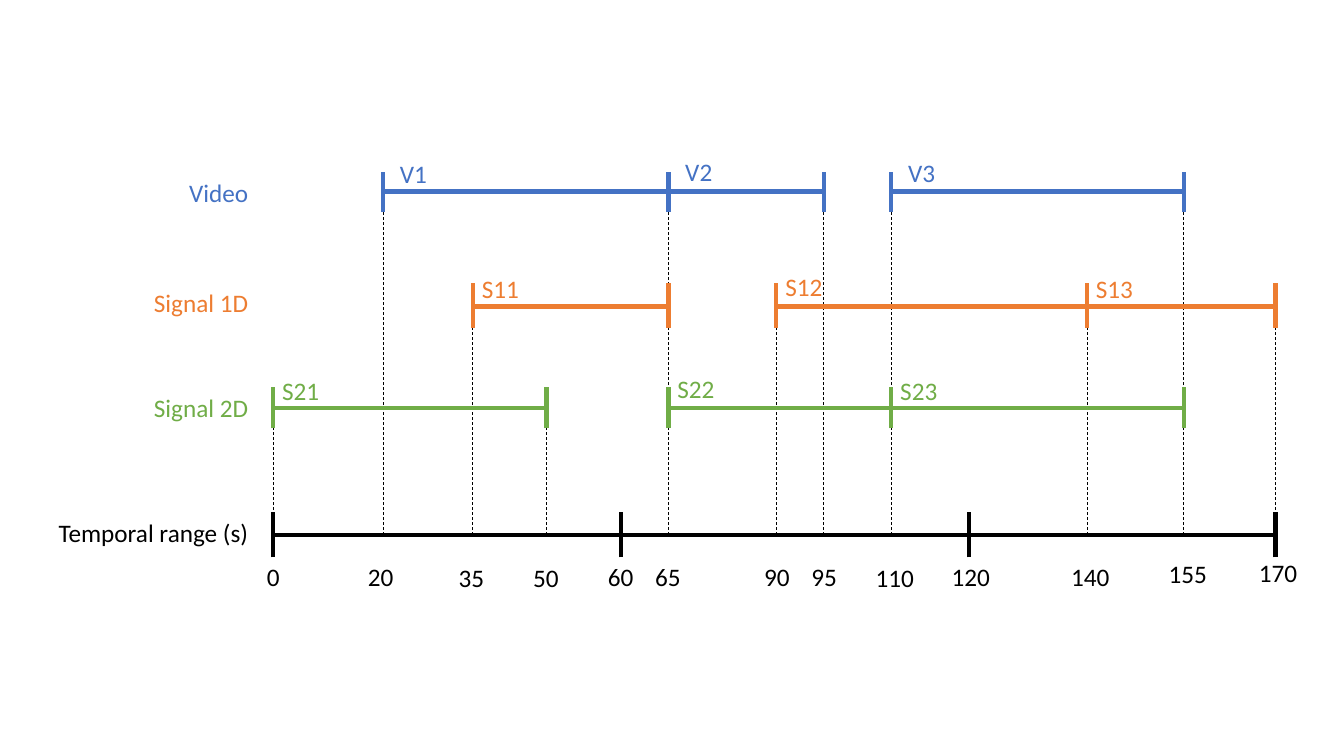
from dataclasses import dataclass

from lxml.etree import SubElement
from pptx import Presentation
from pptx.dml.color import RGBColor
from pptx.enum.dml import MSO_LINE
from pptx.enum.shapes import MSO_CONNECTOR
from pptx.enum.text import MSO_AUTO_SIZE, PP_ALIGN
from pptx.oxml.ns import qn
from pptx.util import Inches, Pt

WIDTH, HEIGHT = Inches(13.33), Inches(7.5)
COLUMNS, ROWS = 133.3, 75
TEXT_ROWS = 4
LABEL_RIGHT = 25.6
COLORS = {"axis": "000000", "video": "4472C4", "signal_1d": "ED7D31", "signal_2d": "70AD47"}


@dataclass
class Track:
    title: str
    color: str
    row: float
    tick_top: float
    tick_bottom: float
    title_top: float
    title_width: float
    runs: list
    clips: tuple = ()
    clip_width: float = 0
    clip_align: PP_ALIGN = PP_ALIGN.LEFT


TRACKS = [
    Track("Video", "video", 19, 17.1, 21, 17.1, 21.1, [(20, 65, 95), (110, 155)],
          (("V1", 15.2), ("V2", 15), ("V3", 15.1)), 6.2, PP_ALIGN.CENTER),
    Track("Signal 1D", "signal_1d", 30.4, 28.1, 32.5, 28, 21.1, [(35, 65), (90, 140, 170)],
          (("S11", 26.6), ("S12", 26.4), ("S13", 26.6)), 7.8),
    Track("Signal 2D", "signal_2d", 40.5, 38.4, 42.5, 38.4, 21.1, [(0, 50), (65, 110, 155)],
          (("S21", 36.7), ("S22", 36.5), ("S23", 36.7)), 8.2),
]
AXIS = Track("Temporal range (s)", "axis", 53.1, 50.8, 55.3, 50.8, 25.4, [(0, 60, 120, 170)])

TIME_COLUMNS = {0: 27.1, 20: 38, 35: 46.9, 50: 54.2, 60: 61.6, 65: 66.3, 90: 77,
                95: 81.7, 110: 88.4, 120: 96.1, 140: 107.8, 155: 117.4, 170: 126.5}
NUMBER_PLACES = {0: (27.1, 55.2), 20: (37.75, 55.2), 35: (46.75, 55.3), 50: (54.15, 55.3),
                 60: (61.55, 55.2), 65: (66.25, 55.2), 90: (77.05, 55.2), 95: (81.75, 55.2),
                 110: (88.75, 55.3), 120: (96.3, 55.2), 140: (108.15, 55.2),
                 155: (117.8, 54.9), 170: (126.75, 54.8)}
NUMBER_WIDTHS = {1: 3.6, 2: 5.9, 3: 8}


def across(columns):
    return round(WIDTH * columns / COLUMNS)


def down(rows):
    return round(HEIGHT * rows / ROWS)


def add_line(page, start, end, color, weight=3, dash=None):
    line = page.shapes.add_connector(MSO_CONNECTOR.STRAIGHT, across(start[0]), down(start[1]),
                                     across(end[0]), down(end[1]))
    line.line.color.rgb = RGBColor.from_string(COLORS[color])
    line.line.width = Pt(weight)
    if dash:
        line.line.dash_style = dash
    SubElement(line._element.spPr, qn("a:effectLst"))


def add_text(page, text, left, top, width, color="axis", align=PP_ALIGN.CENTER, size=18, font="Calibri"):
    box = page.shapes.add_textbox(across(left), down(top), across(width), down(TEXT_ROWS))
    frame = box.text_frame
    frame.word_wrap = True
    frame.auto_size = MSO_AUTO_SIZE.SHAPE_TO_FIT_TEXT
    para = frame.paragraphs[0]
    para.alignment = align
    span = para.add_run()
    span.text = text
    span.font.size = Pt(size)
    span.font.name = font
    span.font.color.rgb = RGBColor.from_string(COLORS[color])


def add_guides(page):
    guide_tops = {}
    for track in TRACKS:
        for run in track.runs:
            for time in run:
                guide_tops.setdefault(time, track.tick_bottom)
    for time, top in guide_tops.items():
        column = TIME_COLUMNS[time]
        add_line(page, (column, AXIS.row), (column, top), "axis", weight=0.5, dash=MSO_LINE.DASH)


def add_track(page, track):
    for run in track.runs:
        columns = [TIME_COLUMNS[time] for time in run]
        add_line(page, (columns[0], track.row), (columns[-1], track.row), track.color)
        for column in columns:
            add_line(page, (column, track.tick_bottom), (column, track.tick_top), track.color)
    add_text(page, track.title, LABEL_RIGHT - track.title_width, track.title_top,
             track.title_width, color=track.color, align=PP_ALIGN.RIGHT)
    starts = [time for run in track.runs for time in run[:-1]]
    for time, (name, top) in zip(starts, track.clips):
        add_text(page, name, TIME_COLUMNS[time] - 0.1, top, track.clip_width,
                 color=track.color, align=track.clip_align)


def add_numbers(page):
    for time, (center, top) in NUMBER_PLACES.items():
        width = NUMBER_WIDTHS[len(str(time))]
        add_text(page, str(time), center - width / 2, top, width)


def main():
    deck = Presentation()
    deck.slide_width, deck.slide_height = WIDTH, HEIGHT
    page = deck.slides.add_slide(deck.slide_layouts[6])
    add_guides(page)
    for track in [AXIS, *TRACKS]:
        add_track(page, track)
    add_numbers(page)
    deck.save("out.pptx")


main()
